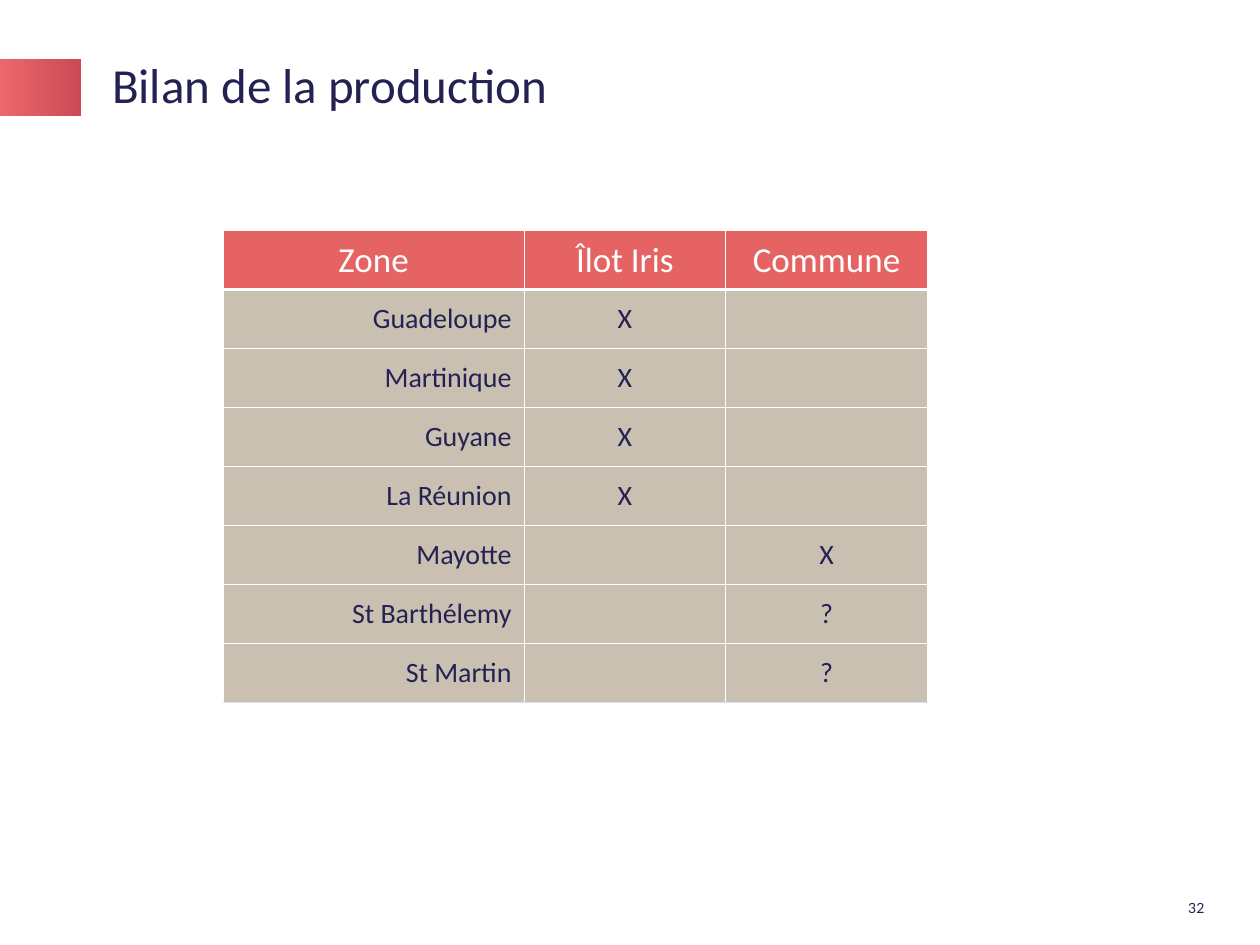
import pptx
import pptx.util
import pptx.dml.color
import pptx.enum.shapes
import pptx.enum.text
import pptx.oxml
import pptx.oxml.ns

ALIGN = pptx.enum.text.PP_ALIGN
ANCHOR = pptx.enum.text.MSO_ANCHOR
NAVY, WHITE, CORAL, SAND, LAVENDER = "232253", "FFFFFF", "E56463", "C9C0B1", "DEDEF2"


def color(value):
    return pptx.dml.color.RGBColor.from_string(value)


class SlideBuilder:
    columns, rows = 100, 75
    font_name = "Calibri"

    def __init__(self, presentation):
        self.column = presentation.slide_width / self.columns
        self.row = presentation.slide_height / self.rows
        self.slide = presentation.slides.add_slide(presentation.slide_layouts[6])

    def place(self, left, top, width, height):
        return [round(value) for value in (left * self.column, top * self.row,
                                           width * self.column, height * self.row)]

    def fill_paragraph(self, paragraph, text, size, ink, align, font_name=None):
        paragraph.text = text
        paragraph.alignment = align
        paragraph.font.name = font_name or self.font_name
        paragraph.font.size = pptx.util.Pt(size)
        paragraph.font.bold = False
        paragraph.font.color.rgb = color(ink)

    def text(self, area, text, size, align=ALIGN.LEFT, anchor=ANCHOR.TOP, font_name=None):
        frame = self.slide.shapes.add_textbox(*self.place(*area)).text_frame
        frame.word_wrap = True
        frame.vertical_anchor = anchor
        frame.margin_left = frame.margin_right = frame.margin_top = frame.margin_bottom = 0
        self.fill_paragraph(frame.paragraphs[0], text, size, NAVY, align, font_name)
        return frame.paragraphs[0]

    def gradient_bar(self, area, start, end):
        shape = self.slide.shapes.add_shape(
            pptx.enum.shapes.MSO_SHAPE.RECTANGLE, *self.place(*area))
        shape.shadow.inherit = False
        shape.line.fill.background()
        shape.fill.gradient()
        shape.fill.gradient_angle = 0
        for stop, value in zip(shape.fill.gradient_stops, (start, end)):
            stop.color.rgb = color(value)

    def borders(self, cell, sides):
        properties = cell._tc.get_or_add_tcPr()
        for index, (side, (value, points)) in enumerate(sides.items()):
            properties.insert(index, pptx.oxml.parse_xml(
                f'<a:ln{side} {pptx.oxml.ns.nsdecls("a")} w="{pptx.util.Pt(points)}">'
                f'<a:solidFill><a:srgbClr val="{value}"/></a:solidFill></a:ln{side}>'))

    def table(self, area, widths, records):
        table = self.slide.shapes.add_table(
            len(records), len(widths), *self.place(*area)).table
        for column, width in zip(table.columns, widths):
            column.width = round(width * self.column)
        thin, thick = (WHITE, 0.5), (WHITE, 2.25)
        last = len(records) - 1
        for row_index, record in enumerate(records):
            header = row_index == 0
            top = thick if row_index == 1 else thin
            bottom = thick if header else (LAVENDER, 0.5) if row_index == last else thin
            for column_index, text in enumerate(record):
                cell = table.cell(row_index, column_index)
                cell.fill.solid()
                cell.fill.fore_color.rgb = color(CORAL if header else SAND)
                cell.vertical_anchor = ANCHOR.MIDDLE
                align = ALIGN.CENTER if header or column_index else ALIGN.RIGHT
                self.fill_paragraph(cell.text_frame.paragraphs[0], text,
                                    20 if header else 16, WHITE if header else NAVY, align)
                self.borders(cell, {"L": thin, "R": thin, "T": top, "B": bottom})


def main():
    presentation = pptx.Presentation()
    presentation.slide_width = pptx.util.Inches(10)
    presentation.slide_height = pptx.util.Inches(7.5)
    builder = SlideBuilder(presentation)
    builder.text((93.3, 71.4, 2.3, 1.3), "32", 8, ALIGN.RIGHT, font_name="Lato")
    builder.gradient_bar((0, 4.7, 6.4, 4.5), "EC686C", "CB4A56")
    title = builder.text((8.9, 3.5, 86.9, 6.9), "Bilan de la production", 28,
                         anchor=ANCHOR.MIDDLE)
    title.line_spacing = 0.9
    builder.table((17.7, 18.3, 55.9, 37.5), (23.9, 16, 16), [
        ("Zone", "Îlot Iris", "Commune"),
        ("Guadeloupe", "X", ""),
        ("Martinique", "X", ""),
        ("Guyane", "X", ""),
        ("La Réunion", "X", ""),
        ("Mayotte", "", "X"),
        ("St Barthélemy", "", "?"),
        ("St Martin", "", "?"),
    ])
    presentation.save("out.pptx")


if __name__ == "__main__":
    main()
